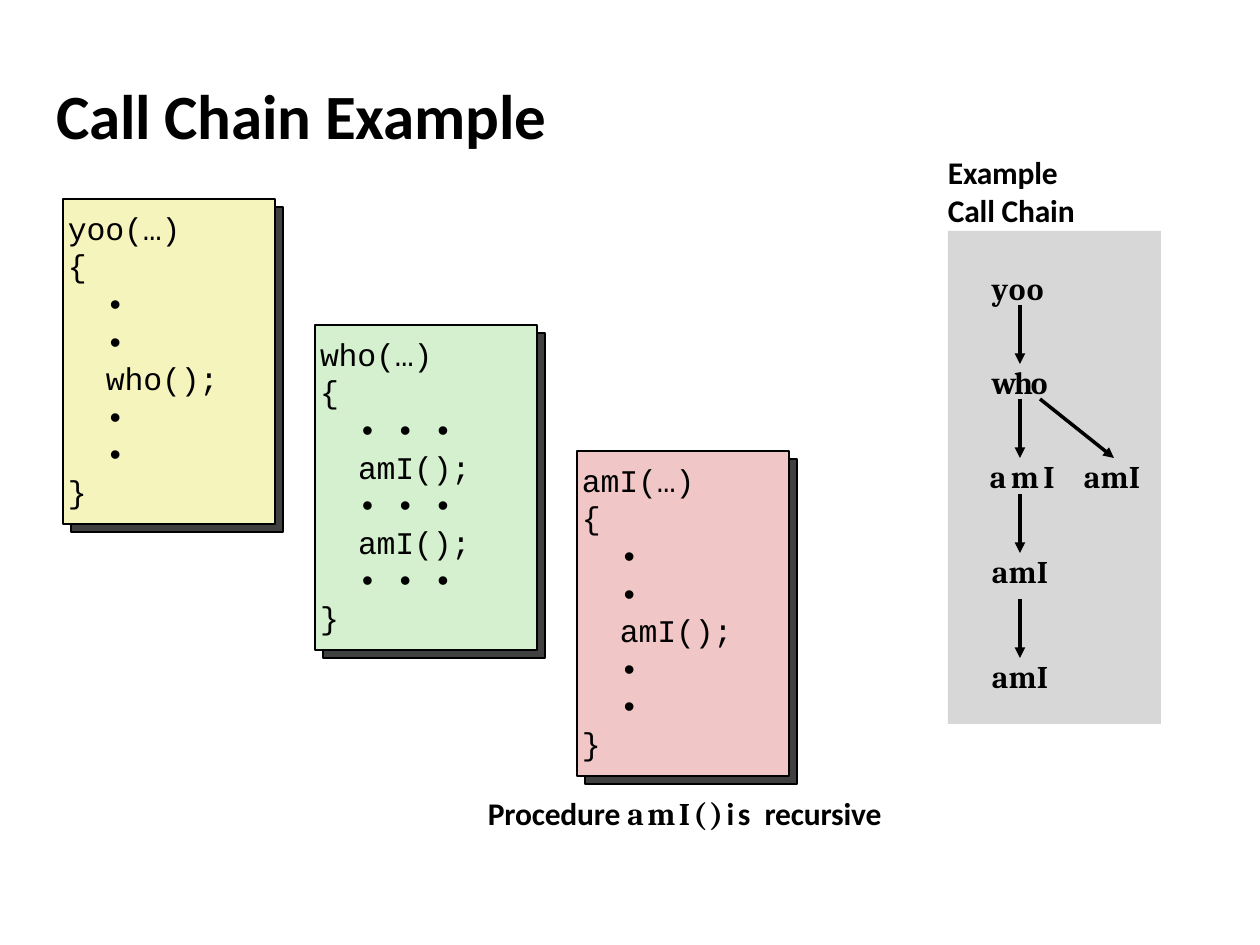
from dataclasses import dataclass

from lxml import etree
from pptx import Presentation
from pptx import util as u
from pptx.dml.color import RGBColor
from pptx.enum import shapes, text
from pptx.oxml.ns import qn

SCALE = u.Inches(1) / 126


def px(n):
    return u.Emu(round(n * SCALE))


@dataclass(frozen=True)
class Theme:
    ink: str = "000000"
    yellow: str = "F5F4BC"
    green: str = "D4F0CE"
    red: str = "F0C6C6"
    grey: str = "D7D7D7"
    body_font: str = "Calibri"
    name_font: str = "Cambria"
    code_font: str = "Courier New"
    title_size: int = 36
    body_size: int = 18
    code_leading: float = 21.5
    tight: float = -0.1


class Deck:
    def __init__(self, theme):
        self.theme = theme
        self.prs = Presentation()
        self.prs.slide_width, self.prs.slide_height = px(1260), px(945)
        self.s = self.prs.slides.add_slide(self.prs.slide_layouts[5])

    def style(self, r, font, size=None, bold=True, spacing=0):
        r.font.name, r.font.bold = font, bold
        r.font.size = u.Pt(size or self.theme.body_size)
        r.font.color.rgb = RGBColor.from_string(self.theme.ink)
        if spacing:
            r._r.get_or_add_rPr().set("spc", str(round(spacing * 100)))

    def frame(self, sp, left=0, top=3):
        """Prepare a top-anchored, wrapping text frame with insets in px."""
        tf = sp.text_frame
        tf.word_wrap = True
        tf.auto_size = text.MSO_AUTO_SIZE.NONE
        tf.vertical_anchor = text.MSO_ANCHOR.TOP
        tf.margin_left, tf.margin_top = px(left), px(top)
        tf.margin_right = tf.margin_bottom = 0
        return tf

    def title(self, words, x, y, w, h):
        sp = self.s.shapes.title
        sp.left, sp.top, sp.width, sp.height = px(x), px(y), px(w), px(h)
        tf = self.frame(sp, left=1)
        tf.text = words
        p = tf.paragraphs[0]
        p.alignment = text.PP_ALIGN.LEFT
        self.style(p.runs[0], self.theme.body_font, self.theme.title_size,
                   spacing=self.theme.tight)

    def label(self, x, y, w, h, runs, tab=None):
        """Add a text box; each run is (words, font, letter spacing)."""
        sp = self.s.shapes.add_textbox(px(x), px(y), px(w), px(h))
        p = self.frame(sp).paragraphs[0]
        if tab:
            tabs = etree.SubElement(p._p.get_or_add_pPr(), qn("a:tabLst"))
            etree.SubElement(tabs, qn("a:tab"), pos=str(px(tab)), algn="l")
        for words, font, spacing in runs:
            r = p.add_run()
            r.text = words
            self.style(r, font, spacing=spacing)

    def rect(self, x, y, w, h, fill, outlined=True, alpha=None):
        sp = self.s.shapes.add_shape(shapes.MSO_SHAPE.RECTANGLE,
                                     px(x), px(y), px(w), px(h))
        sp.shadow.inherit = False
        sp.fill.solid()
        sp.fill.fore_color.rgb = RGBColor.from_string(fill)
        if alpha:
            color = sp._element.spPr.find(qn("a:solidFill"))[0]
            etree.SubElement(color, qn("a:alpha"), val=str(alpha * 1000))
        if outlined:
            sp.line.color.rgb = RGBColor.from_string(self.theme.ink)
            sp.line.width = u.Pt(1)
        else:
            sp.line.fill.background()
        return sp

    def code(self, x, y, w, h, fill, name, body):
        """Add a procedure card with a drop shadow and an indented body."""
        self.rect(x + 8, y + 8, w, h, self.theme.ink, alpha=75)
        tf = self.frame(self.rect(x, y, w, h, fill), left=5, top=10)
        tf.text = "\n".join([f"{name}(…)", "{", *body, "}"])
        for p in tf.paragraphs:
            p.alignment = text.PP_ALIGN.LEFT
            p.line_spacing = u.Pt(self.theme.code_leading)
            if p.text in body:
                p._p.get_or_add_pPr().set("marL", str(px(38)))
            spacing = self.theme.tight if "(" in p.text else 0
            self.style(p.runs[0], self.theme.code_font, bold=False, spacing=spacing)

    def arrow(self, x1, y1, x2, y2):
        c = self.s.shapes.add_connector(shapes.MSO_CONNECTOR.STRAIGHT,
                                        px(x1), px(y1), px(x2), px(y2))
        c.line.color.rgb = RGBColor.from_string(self.theme.ink)
        c.line.width = u.Pt(2)
        etree.SubElement(c.line._get_or_add_ln(), qn("a:tailEnd"), type="triangle")
        etree.SubElement(c._element.spPr, qn("a:effectLst"))


def main():
    t = Theme()
    deck = Deck(t)
    deck.title("Call Chain Example", 55, 74, 560, 80)

    dot, dots = "•", "• • •"
    procedures = [
        (63, 199, 212, t.yellow, "yoo", [dot, dot, "who();", dot, dot]),
        (315, 325, 222, t.green, "who", [dots, "amI();", dots, "amI();", dots]),
        (577, 451, 212, t.red, "amI", [dot, dot, "amI();", dot, dot]),
    ]
    for x, y, w, fill, name, body in procedures:
        deck.code(x, y, w, 325, fill, name, body)

    deck.rect(948, 231, 213, 493, t.grey, outlined=False)
    deck.label(948, 150, 140, 80, [("Example Call Chain", t.body_font, t.tight)])

    calls = [(266, "yoo", 0.8), (360, "who", -1.2), (549, "amI", 0.1), (654, "amI", 0.1)]
    for y, name, spacing in calls:
        deck.label(992, y, 80, 42, [(name, t.name_font, spacing)])
    branch_y = 454
    deck.label(990, branch_y, 170, 42,
               [("amI\t", t.name_font, 2.5), ("amI", t.name_font, 0.1)], tab=94)

    for y in (360, branch_y, 549, 654):
        deck.arrow(1020, y - 55, 1020, y + 4)
    deck.arrow(1040, branch_y - 55, 1114, branch_y + 4)

    deck.label(488, 791, 410, 42, [
        ("Procedure ", t.body_font, t.tight), ("amI()", t.name_font, 2),
        ("is ", t.body_font, 2), ("recursive", t.body_font, t.tight)])

    deck.prs.save("out.pptx")


if __name__ == "__main__":
    main()
